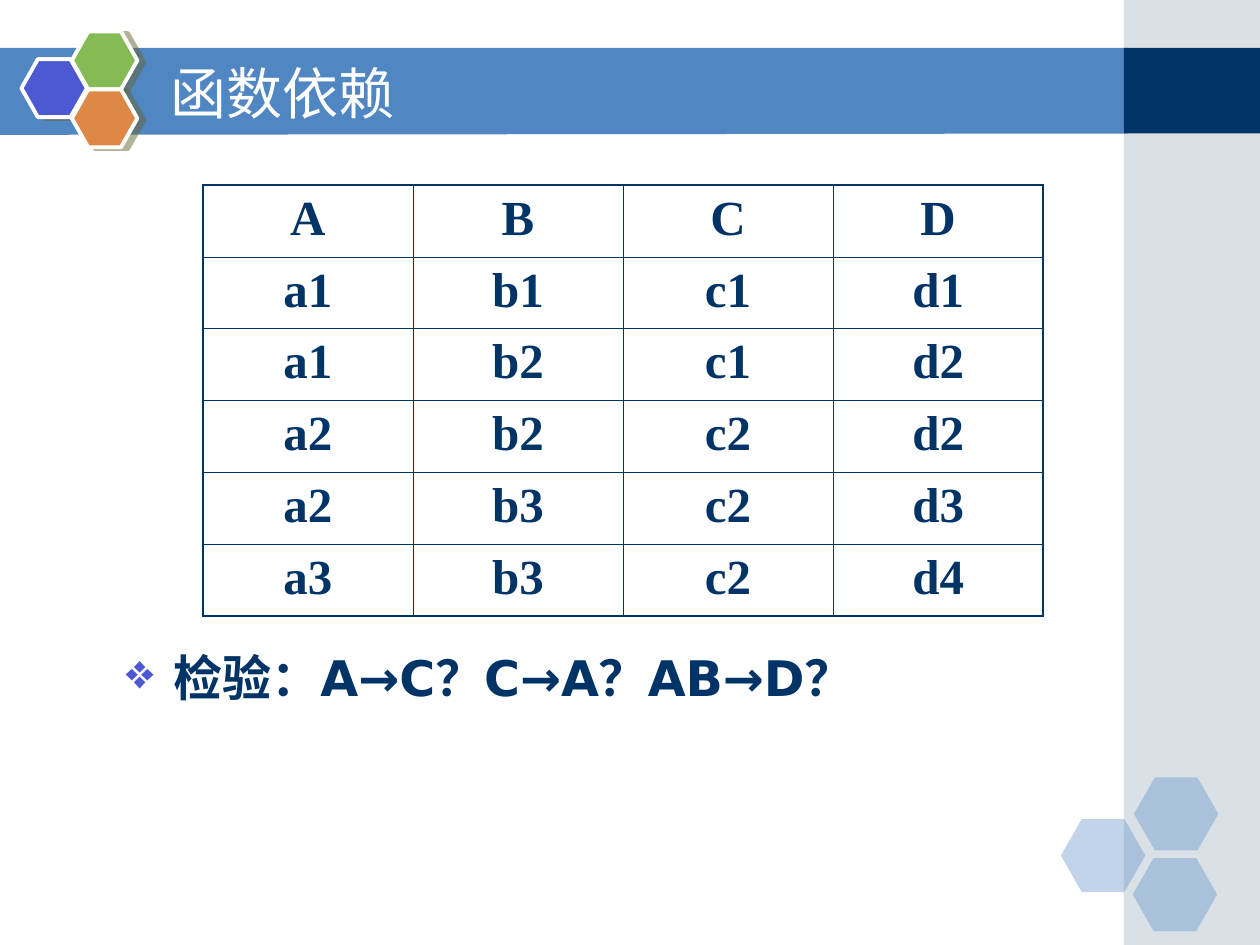
import pptx
import pptx.util
import pptx.dml.color
import pptx.enum.shapes
import pptx.enum.text
import pptx.oxml
import pptx.oxml.ns

Inches = pptx.util.Inches
Pt = pptx.util.Pt
RGBColor = pptx.dml.color.RGBColor
SHAPES = pptx.enum.shapes.MSO_SHAPE
ALIGN = pptx.enum.text.PP_ALIGN
ANCHOR = pptx.enum.text.MSO_ANCHOR

WHITE = RGBColor(0xFF, 0xFF, 0xFF)
NAVY = RGBColor(0x00, 0x33, 0x66)
BLUE = RGBColor(0x50, 0x86, 0xC2)
GREY = RGBColor(0xA0, 0xB5, 0xC4)
VIOLET = RGBColor(0x4C, 0x59, 0xD2)
GREEN = RGBColor(0x85, 0xBA, 0x54)
ORANGE = RGBColor(0xDE, 0x88, 0x48)
OLIVE = RGBColor(0x66, 0x66, 0x33)

TITLE_FORMAT = {"name": "DejaVu Sans", "size": Pt(32), "bold": False}
BODY_FORMAT = {"name": "DejaVu Sans", "size": Pt(28), "bold": True}
CELL_FORMAT = {"name": "Times New Roman", "size": Pt(28), "bold": True}

ROWS = [
    "A B C D",
    "a1 b1 c1 d1",
    "a1 b2 c1 d2",
    "a2 b2 c2 d2",
    "a2 b3 c2 d3",
    "a3 b3 c2 d4",
]
THIN, THICK = 0.45, 1.08


def add_xml(parent, body):
    """Append one DrawingML element to the parent."""
    tag, rest = body.split(" ", 1)
    namespace = pptx.oxml.ns.nsdecls("a")
    parent.append(pptx.oxml.parse_xml(f"<a:{tag} {namespace} {rest}"))


def format_text(para, text, values, color):
    span = para.add_run()
    span.text = text
    for key, value in values.items():
        setattr(span.font, key, value)
    span.font.color.rgb = color


def add_block(slide, kind, place, color, alpha=None):
    """Add a borderless filled shape, optionally see-through (percent)."""
    block = slide.shapes.add_shape(kind, *map(Inches, place))
    block.shadow.inherit = False
    block.fill.solid()
    block.fill.fore_color.rgb = color
    block.line.fill.background()
    if alpha is not None:
        tone = block.fill._xPr.find(".//" + pptx.oxml.ns.qn("a:srgbClr"))
        add_xml(tone, f'alpha val="{alpha * 1000}"/>')
    return block


def add_banner(slide):
    builder = slide.shapes.build_freeform(Inches(-0.01), Inches(0.38))
    corners = [(8.95, 0.38), (8.95, 1.06), (-0.01, 1.07)]
    builder.add_line_segments([(Inches(x), Inches(y)) for x, y in corners])
    banner = builder.convert_to_shape()
    banner.shadow.inherit = False
    banner.fill.solid()
    banner.fill.fore_color.rgb = BLUE
    banner.line.fill.background()


def add_badge(slide, left, top, color):
    """Add a white-edged hexagon with a hard shadow."""
    badge = add_block(slide, SHAPES.HEXAGON, (left, top, 0.52, 0.46), color)
    badge.adjustments[0] = 0.283
    badge.line.color.rgb = WHITE
    badge.line.width = Pt(2.25)
    effects = badge._element.spPr.find(pptx.oxml.ns.qn("a:effectLst"))
    add_xml(effects, f'outerShdw blurRad="0" dist="{Pt(4.1)}" dir="{14 * 60000}" '
            f'algn="ctr" rotWithShape="0"><a:srgbClr val="{OLIVE}">'
            '<a:alpha val="50000"/></a:srgbClr></a:outerShdw>')


def add_title(slide, text):
    title = slide.shapes.title
    place = {"left": 1.25, "top": 0.42, "width": 7.33, "height": 0.62}
    for key, value in place.items():
        setattr(title, key, Inches(value))
    frame = title.text_frame
    frame.auto_size = pptx.enum.text.MSO_AUTO_SIZE.NONE
    frame.vertical_anchor = ANCHOR.MIDDLE
    para = frame.paragraphs[0]
    para.alignment = ALIGN.LEFT
    format_text(para, text, TITLE_FORMAT, WHITE)
    # Bring the title in front of the banner
    title._element.getparent().append(title._element)


def add_question(slide, text):
    box = slide.shapes.add_textbox(*map(Inches, (0.9, 5.09, 8.22, 1.03)))
    box.text_frame.word_wrap = True
    para = box.text_frame.paragraphs[0]
    properties = para._p.get_or_add_pPr()
    properties.set("marL", str(Inches(0.38)))
    properties.set("indent", str(Inches(-0.38)))
    add_xml(properties, f'buClr ><a:srgbClr val="{VIOLET}"/></a:buClr>')
    add_xml(properties, 'buChar char="❖"/>')
    format_text(para, text, BODY_FORMAT, NAVY)


def add_grid(slide):
    last_row, last_column = len(ROWS) - 1, len(ROWS[0].split()) - 1
    place = map(Inches, (1.61, 1.47, 6.67, 3.42))
    grid = slide.shapes.add_table(last_row + 1, last_column + 1, *place).table
    for row, line in enumerate(ROWS):
        for column, text in enumerate(line.split()):
            cell = grid.cell(row, column)
            para = cell.text_frame.paragraphs[0]
            para.alignment = ALIGN.CENTER
            format_text(para, text, CELL_FORMAT, NAVY)
            # Outer edges are heavier than inner ones
            outer = {"lnL": column == 0, "lnR": column == last_column,
                     "lnT": row == 0, "lnB": row == last_row}
            for side, heavy in outer.items():
                width = Pt(THICK if heavy else THIN)
                add_xml(cell._tc.get_or_add_tcPr(),
                        f'{side} w="{width}"><a:solidFill><a:srgbClr '
                        f'val="{NAVY}"/></a:solidFill></a:{side}>')
            cell.fill.background()


def main():
    deck = pptx.Presentation()
    deck.slide_width, deck.slide_height = Inches(10), Inches(7.5)
    slide = deck.slides.add_slide(deck.slide_layouts[5])

    # Banner and side strip
    add_banner(slide)
    add_block(slide, SHAPES.RECTANGLE, (8.92, 0, 1.08, 7.5), GREY, 40)
    add_block(slide, SHAPES.RECTANGLE, (8.92, 0.38, 1.08, 0.68), NAVY)

    # Pale hexagons in the corner
    for left, top in [(8.42, 6.5), (9, 6.17), (8.99, 6.81)]:
        place = (left, top, 0.67, 0.58)
        hexagon = add_block(slide, SHAPES.HEXAGON, place, BLUE, 35)
        hexagon.adjustments[0] = 0.286

    # Coloured hexagons beside the title
    for badge in [(0.17, 0.47, VIOLET), (0.57, 0.25, GREEN), (0.57, 0.71, ORANGE)]:
        add_badge(slide, *badge)

    # Content
    add_title(slide, "函数依赖")
    add_question(slide, "检验：A→C？C→A？AB→D？")
    add_grid(slide)
    deck.save("out.pptx")


if __name__ == "__main__":
    main()
